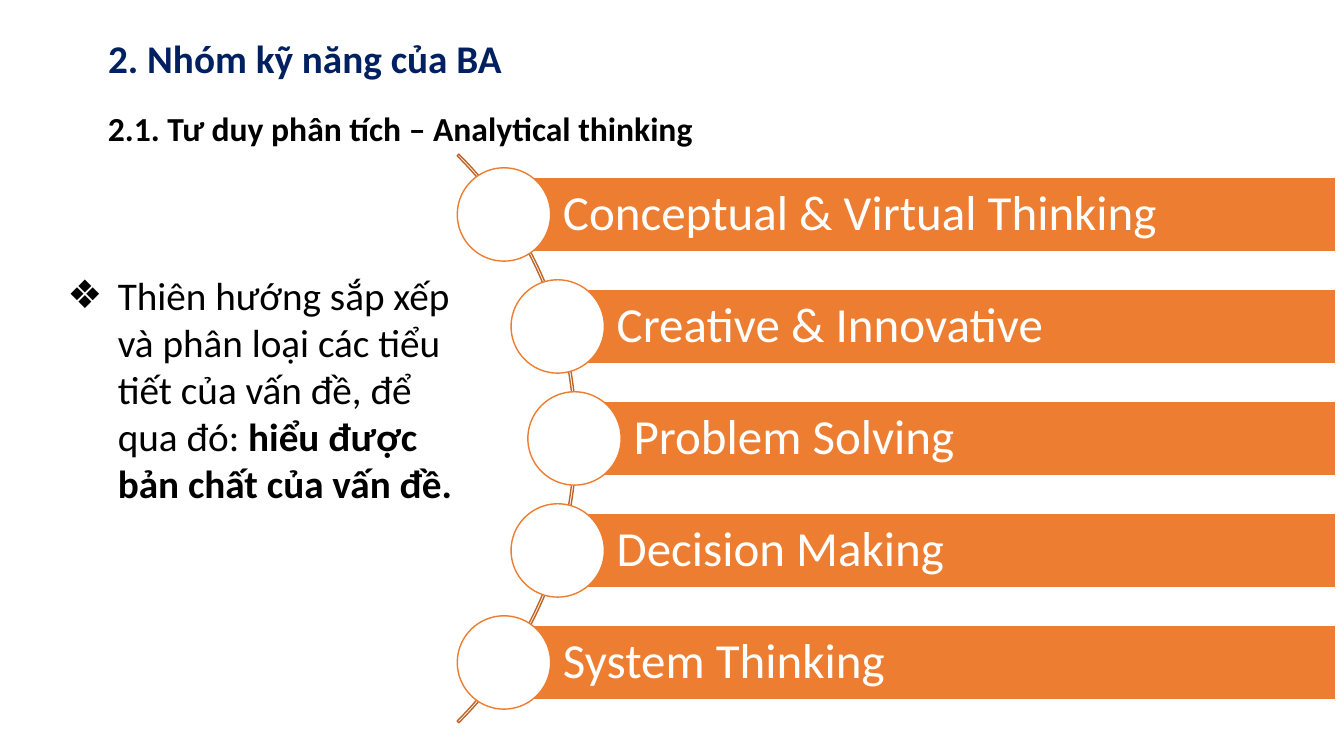
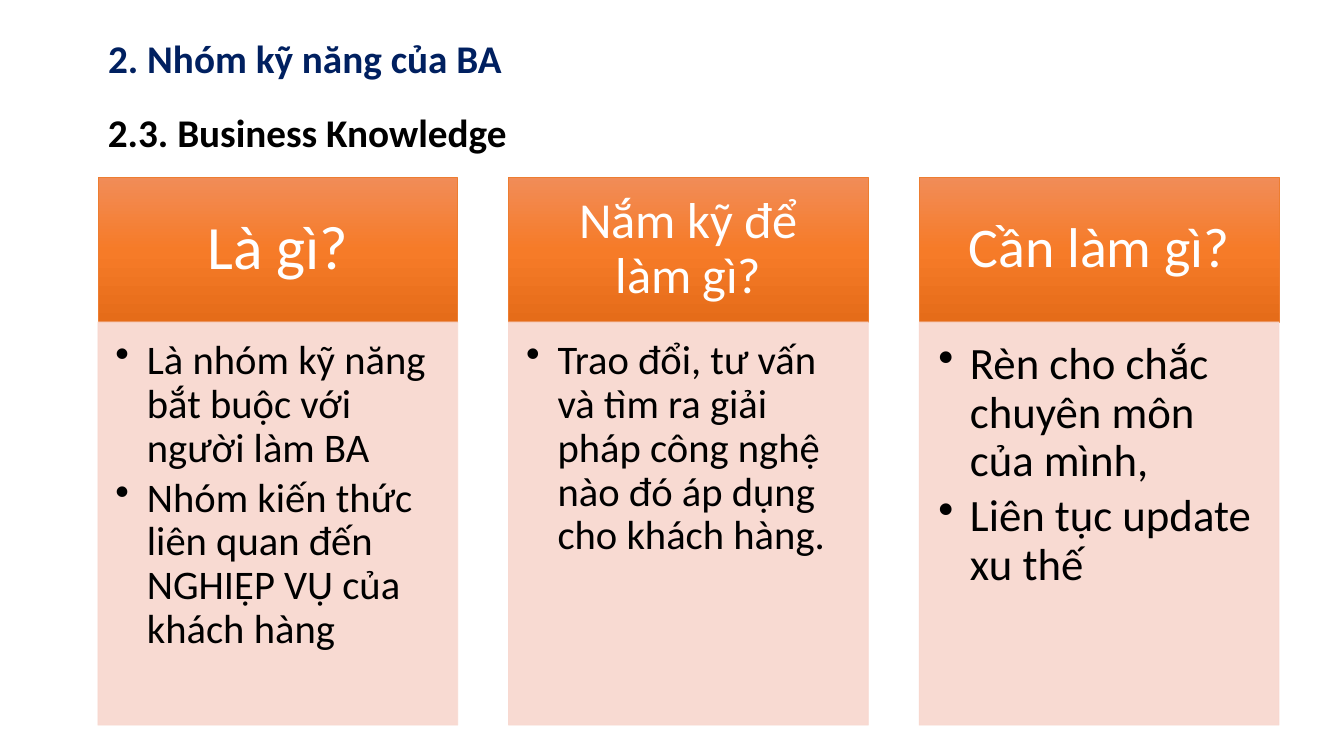
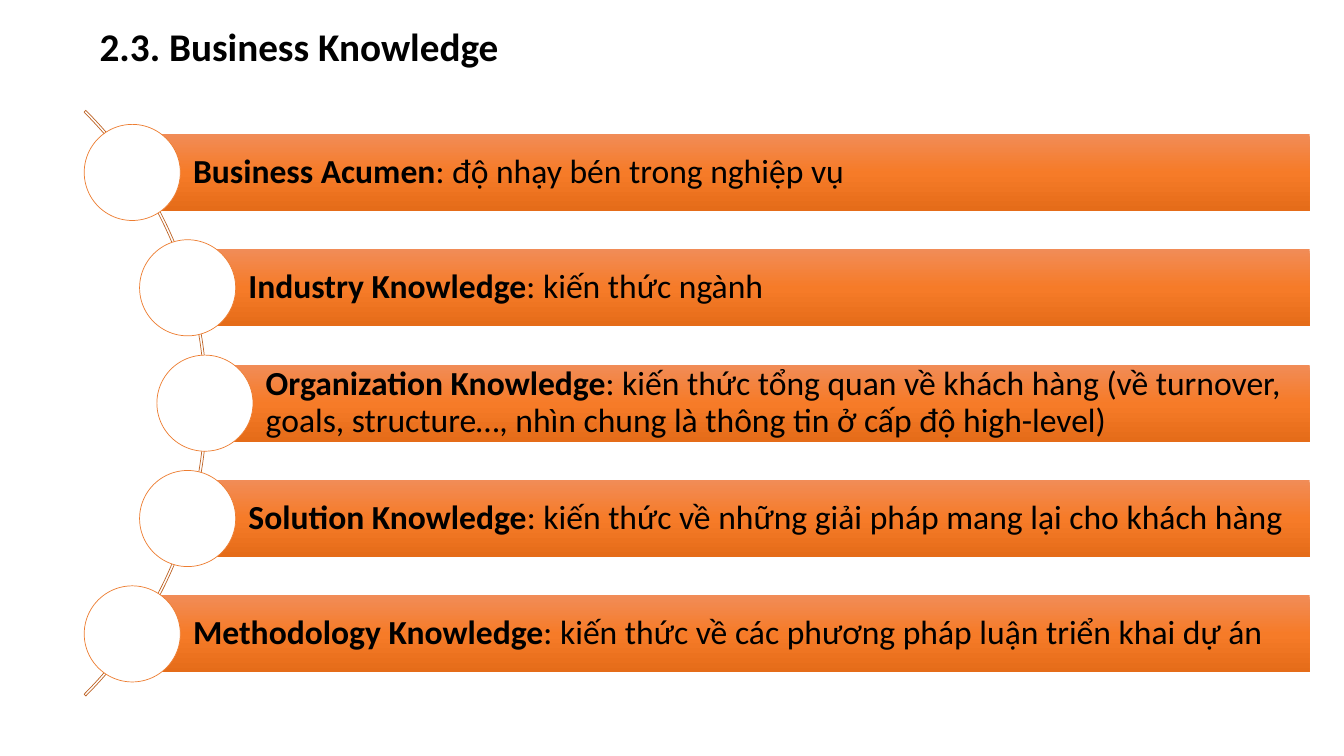
from copy import deepcopy

from lxml import etree
from pptx import Presentation
from pptx import util as u
from pptx.dml.color import RGBColor
from pptx.enum import shapes, text
from pptx.oxml.ns import qn

COLOURS = {
    "navy": "002060", "black": "000000", "white": "FFFFFF", "orange": "ED7D31",
    "arc": "BE6427", "blush": "F8D7CE",
    "light": "F18C57", "vivid": "F67B28", "deep": "E56C19",
}
GRADIENT = [(0, "light"), (0.5, "vivid"), (1, "deep")]
FONT = "Calibri"
LEFT, CENTER = text.PP_ALIGN.LEFT, text.PP_ALIGN.CENTER
MIDDLE, TOP = text.MSO_ANCHOR.MIDDLE, text.MSO_ANCHOR.TOP
KINDS = shapes.MSO_SHAPE
TITLE_AND_BODY, TITLE_ONLY = 1, 5


def rgb(name):
    return RGBColor.from_string(COLOURS[name])


def set_alpha(properties, percent):
    """Give every plain colour below the element an opacity."""
    for colour in properties.iter(qn("a:srgbClr")):
        etree.SubElement(colour, qn("a:alpha"), val=str(percent * 1000))


class Slides:
    def __init__(self):
        self.deck = Presentation()
        self.deck.slide_width, self.deck.slide_height = u.Pt(960), u.Pt(540)
        self.page = None

    def new_page(self, layout, title, **place):
        self.page = self.deck.slides.add_slide(self.deck.slide_layouts[layout])
        self.heading(title, self.page.shapes.title, **place)

    def place(self, box, left, top, width, height):
        for name, value in dict(left=left, top=top, width=width, height=height).items():
            setattr(box, name, u.Pt(value))

    def set_text(self, box, paragraphs, size, colour="black", insets=(7.2, 3.6, 7.2, 3.6),
                 anchor=TOP, bullet=None, indent=0, **para_format):
        """Each paragraph is a list of (words, bold) spans."""
        frame = box.text_frame
        margins = zip(("margin_left", "margin_top", "margin_right", "margin_bottom"), insets)
        settings = {name: u.Pt(value) for name, value in margins}
        settings.update(word_wrap=True, auto_size=text.MSO_AUTO_SIZE.NONE, vertical_anchor=anchor)
        for name, value in settings.items():
            setattr(frame, name, value)
        for index, spans in enumerate(paragraphs):
            para = frame.add_paragraph() if index else frame.paragraphs[0]
            for name, value in {"alignment": LEFT, **para_format}.items():
                setattr(para, name, value)
            for words, bold in spans:
                span = para.add_run()
                span.text = words
                for name, value in dict(name=FONT, size=u.Pt(size), bold=bold).items():
                    setattr(span.font, name, value)
                span.font.color.rgb = rgb(colour)
            if bullet:
                properties = para._p.get_or_add_pPr()
                properties.set("marL", str(u.Pt(indent)))
                properties.set("indent", str(-u.Pt(indent)))
                etree.SubElement(properties, qn("a:buChar"), char=bullet)

    def heading(self, words, box=None, left=70, top=21, width=726, size=28, colour="black"):
        if box is None:
            box = self.page.shapes.add_textbox(0, 0, 0, 0)
        self.place(box, left, top, width, size * 1.46)
        self.set_text(box, [[(words, True)]], size, colour)

    def body(self, spans, *place):
        box = self.page.placeholders[1]
        self.place(box, *place)
        self.set_text(box, [spans], 28, bullet="❖", indent=36,
                      space_before=u.Pt(6), space_after=u.Pt(6))

    def shape(self, kind, left, top, width, height, fill=None, line=None, weight=1):
        """Fill is a colour name, a list of gradient stops or None."""
        box = self.page.shapes.add_shape(kind, *map(u.Pt, (left, top, width, height)))
        box.shadow.inherit = False
        if fill is None:
            box.fill.background()
        elif isinstance(fill, str):
            box.fill.solid()
            box.fill.fore_color.rgb = rgb(fill)
        else:
            box.fill.gradient()
            box.fill.gradient_angle = 270
            stop_list = box._element.spPr.find(qn("a:gradFill")).find(qn("a:gsLst"))
            stop_list.insert(1, deepcopy(stop_list[0]))
            for stop, (position, name) in zip(box.fill.gradient_stops, fill):
                stop.position = position
                stop.color.rgb = rgb(name)
        if line:
            box.line.color.rgb = rgb(line)
            box.line.width = u.Pt(weight)
        else:
            box.line.fill.background()
        return box

    def curved_list(self, items, left, right, middle, pitch, size, colour, padding,
                    fill, outline, weight):
        """Bars that start at circles strung along an arc."""
        bar, circle, arc = pitch * 2 / 3, pitch * 5 / 6, pitch * 7.18
        shifts = [pitch * share for share in (0, 0.48, 0.63, 0.48, 0)]
        curve = self.shape(KINDS.BLOCK_ARC, left + max(shifts) + 1.5 - arc, middle - arc / 2,
                           arc, arc, line="arc", weight=weight)
        for index, value in enumerate((189, 27, 0.003)):
            curve.adjustments[index] = value
        for index, (spans, shift) in enumerate(zip(items, shifts)):
            x, y = left + shift, middle + (index - 2) * pitch
            box = self.shape(KINDS.RECTANGLE, x, y - bar / 2, right - x, bar, fill, outline)
            self.set_text(box, [spans], size, colour, (bar * 0.79, padding, padding, padding),
                          MIDDLE, line_spacing=0.9)
            self.shape(KINDS.OVAL, x - circle / 2, y - circle / 2, circle, circle,
                       "white", "orange", weight)

    def column(self, left, title, title_size, points, size):
        top, width, head, body = 127, 257, 103, 288
        box = self.shape(KINDS.RECTANGLE, left, top, width, head, GRADIENT, "orange", 0.5)
        self.set_text(box, [[(title, False)]], title_size, "white",
                      [title_size * share for share in (0.56, 0.32, 0.56, 0.32)], MIDDLE,
                      alignment=CENTER, line_spacing=0.9)
        box = self.shape(KINDS.RECTANGLE, left, top + head, width, body, "blush", "blush", 0.5)
        set_alpha(box._element.spPr, 90)
        self.set_text(box, [[(point, False)] for point in points], size, "black",
                      [size * share for share in (0.43, 0.43, 0.57, 0.64)],
                      bullet="•", indent=22.5, line_spacing=0.9, space_after=u.Pt(size * 0.15))


def main():
    slides = Slides()
    chapter = dict(title="2. Nhóm kỹ năng của BA", width=463, colour="navy")

    slides.new_page(TITLE_AND_BODY, **chapter)
    slides.heading("2.1. Tư duy phân tích – Analytical thinking", top=73.5, size=24)
    slides.body([("Thiên hướng sắp xếp và phân loại các tiểu tiết của vấn đề, để qua đó: ", False),
                 ("hiểu được bản chất của vấn đề.", True)], 41, 190, 307.5, 177)
    skills = ["Conceptual & Virtual Thinking", "Creative & Innovative", "Problem Solving",
              "Decision Making", "System Thinking"]
    slides.curved_list([[(skill, False)] for skill in skills], left=360, right=954, middle=313.2,
                       pitch=80, size=35, colour="white", padding=7, fill="orange",
                       outline="white", weight=1)

    slides.new_page(TITLE_ONLY, **chapter)
    slides.heading("2.3. Business Knowledge", top=73.5)
    columns = [
        ("Là gì?", 44, ["Là nhóm kỹ năng bắt buộc với người làm BA",
                        "Nhóm kiến thức liên quan đến NGHIỆP VỤ của khách hàng"], 29),
        ("Nắm kỹ để làm gì?", 36, ["Trao đổi, tư vấn và tìm ra giải pháp công nghệ nào đó "
                                   "áp dụng cho khách hàng."], 29),
        ("Cần làm gì?", 40, ["Rèn cho chắc chuyên môn của mình,",
                             "Liên tục update xu thế"], 32),
    ]
    for index, content in enumerate(columns):
        slides.column(70 + index * 293.3, *content)

    slides.new_page(TITLE_ONLY, "2.3. Business Knowledge", left=64, top=12.5)
    knowledge = [
        ("Business Acumen", "độ nhạy bén trong nghiệp vụ"),
        ("Industry Knowledge", "kiến thức ngành"),
        ("Organization Knowledge", "kiến thức tổng quan về khách hàng (về turnover, goals, "
                                   "structure…, nhìn chung là thông tin ở cấp độ high-level)"),
        ("Solution Knowledge", "kiến thức về những giải pháp mang lại cho khách hàng"),
        ("Methodology Knowledge", "kiến thức về các phương pháp luận triển khai dự án"),
    ]
    slides.curved_list([[(term, True), (": " + meaning, False)] for term, meaning in knowledge],
                       left=94.5, right=935.5, middle=288, pitch=82.4, size=24, colour="black",
                       padding=4.8, fill=GRADIENT, outline=None, weight=0.5)
    slides.deck.save("out.pptx")


if __name__ == "__main__":
    main()
